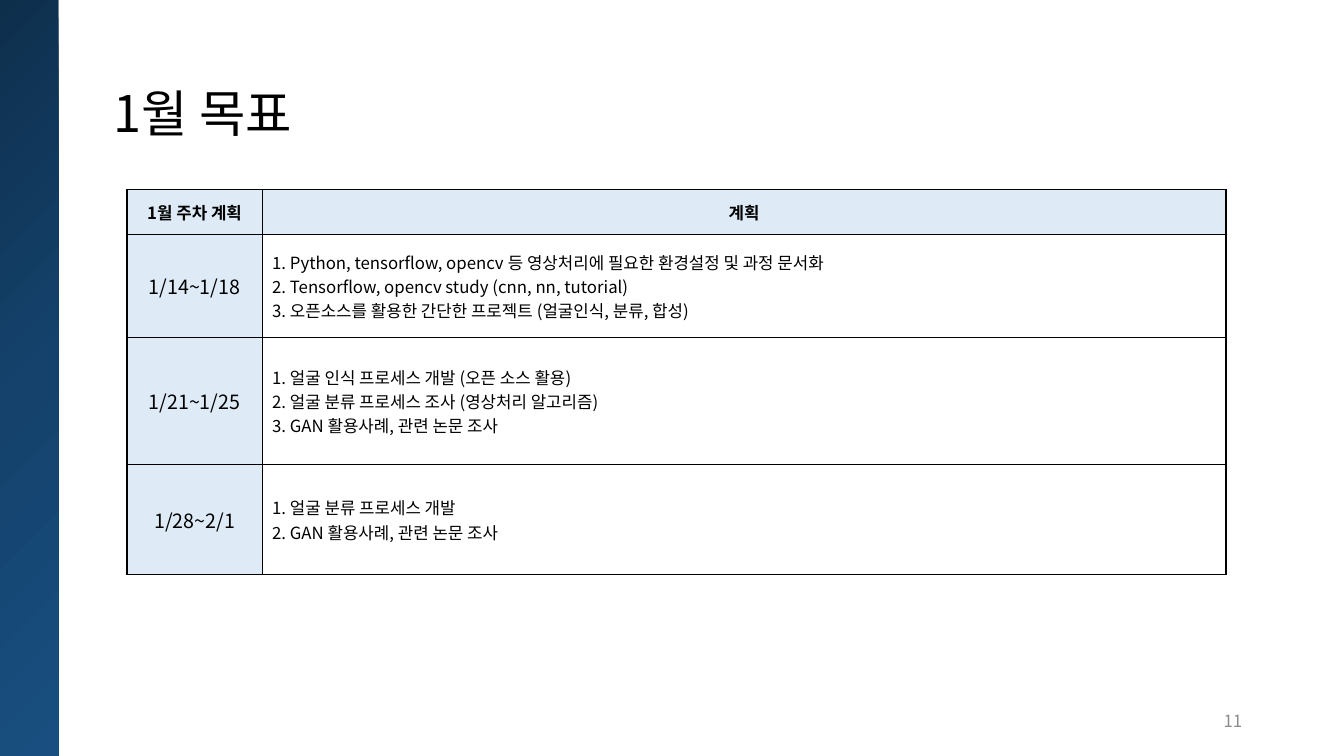
"""Build the January goals slide with its weekly plan table."""
import copy
from dataclasses import dataclass

import lxml.etree
import pptx
import pptx.dml.color
import pptx.enum.shapes
import pptx.enum.text
import pptx.oxml.ns
import pptx.util

FONT = "Noto Sans CJK KR"
BLACK = "000000"
PALE = "DEEBF7"
Inches = pptx.util.Inches
Align = pptx.enum.text.PP_ALIGN
Middle = pptx.enum.text.MSO_ANCHOR.MIDDLE
qn = pptx.oxml.ns.qn


@dataclass
class Style:
    size: int
    align: Align = Align.LEFT
    color: str = BLACK
    bold: bool = False
    space: float = 1.0


@dataclass
class Label:
    text: str
    box: tuple[float, float, float, float]
    style: Style


@dataclass
class Row:
    height: float
    week: str
    plan: list[str]


HEAD = Style(12, Align.CENTER, bold=True)
WEEK = Style(14, Align.CENTER)
PLAN = Style(12)

LABELS = [
    Label("1월 목표", (1.03, 0.43, 11.5, 1.45), Style(36, space=0.9)),
    Label("11", (9.42, 6.95, 3, 0.4), Style(12, Align.RIGHT, "8C8C8C")),
]

ROWS = [
    Row(0.45, "1월 주차 계획", ["계획"]),
    Row(1.02, "1/14~1/18", [
        "1. Python, tensorflow, opencv 등 영상처리에 필요한 환경설정 및 과정 문서화",
        "2. Tensorflow, opencv study (cnn, nn, tutorial)",
        "3. 오픈소스를 활용한 간단한 프로젝트 (얼굴인식, 분류, 합성)",
    ]),
    Row(1.26, "1/21~1/25", [
        "1. 얼굴 인식 프로세스 개발 (오픈 소스 활용)",
        "2. 얼굴 분류 프로세스 조사 (영상처리 알고리즘)",
        "3. GAN 활용사례, 관련 논문 조사",
    ]),
    Row(1.09, "1/28~2/1", [
        "1. 얼굴 분류 프로세스 개발",
        "2. GAN 활용사례, 관련 논문 조사",
    ]),
]
COLS = [1.34, 9.56]


def rgb(code: str) -> pptx.dml.color.RGBColor:
    return pptx.dml.color.RGBColor.from_string(code)


def write(frame, lines: list[str], style: Style) -> None:
    frame.word_wrap = True
    for i, line in enumerate(lines):
        para = frame.add_paragraph() if i else frame.paragraphs[0]
        para.alignment = style.align
        para.line_spacing = style.space
        run = para.add_run()
        run.text = line
        font = run.font
        font.name = FONT
        font.size = pptx.util.Pt(style.size)
        font.bold = style.bold
        font.color.rgb = rgb(style.color)
        east = lxml.etree.SubElement(run._r.get_or_add_rPr(), qn("a:ea"))
        east.set("typeface", FONT)


def add_label(slide, label: Label) -> None:
    frame = slide.shapes.add_textbox(*map(Inches, label.box)).text_frame
    frame.vertical_anchor = Middle
    write(frame, [label.text], label.style)


def add_band(slide) -> None:
    band = slide.shapes.add_shape(
        pptx.enum.shapes.MSO_SHAPE.RECTANGLE, 0, 0, Inches(0.58), Inches(7.5))
    band.shadow.inherit = False
    band.line.fill.background()
    band.fill.gradient()
    band.fill.gradient_angle = 315
    stops = band._element.spPr.find(".//" + qn("a:gsLst"))
    stops.insert(1, copy.deepcopy(stops[0]))
    shades = [(0, "0E2F4C"), (0.5, "14426C"), (1, "184F80")]
    for stop, (place, code) in zip(band.fill.gradient_stops, shades):
        stop.position = place
        stop.color.rgb = rgb(code)


def add_edges(cell) -> None:
    props = cell._tc.get_or_add_tcPr()
    for side in "LRTB":
        edge = lxml.etree.SubElement(props, qn("a:ln" + side))
        edge.set("w", str(pptx.util.Pt(1)))
        fill = lxml.etree.SubElement(edge, qn("a:solidFill"))
        lxml.etree.SubElement(fill, qn("a:srgbClr")).set("val", BLACK)


def fill_cell(cell, lines: list[str], style: Style, tint: bool) -> None:
    cell.vertical_anchor = Middle
    add_edges(cell)
    if tint:
        cell.fill.solid()
        cell.fill.fore_color.rgb = rgb(PALE)
    else:
        cell.fill.background()
    write(cell.text_frame, lines, style)


def add_plan(slide) -> None:
    table = slide.shapes.add_table(
        len(ROWS), len(COLS), Inches(1.26), Inches(1.88),
        Inches(sum(COLS)), Inches(sum(row.height for row in ROWS))).table
    table.first_row = table.horz_banding = False
    for col, width in zip(table.columns, COLS):
        col.width = Inches(width)
    for i, row in enumerate(ROWS):
        table.rows[i].height = Inches(row.height)
        top = i == 0
        fill_cell(table.cell(i, 0), [row.week], HEAD if top else WEEK, True)
        fill_cell(table.cell(i, 1), row.plan, HEAD if top else PLAN, top)


def main() -> None:
    deck = pptx.Presentation()
    deck.slide_width = Inches(13.33)
    deck.slide_height = Inches(7.5)
    slide = deck.slides.add_slide(deck.slide_layouts[6])
    add_band(slide)
    for label in LABELS:
        add_label(slide, label)
    add_plan(slide)
    deck.save("out.pptx")


if __name__ == "__main__":
    main()
